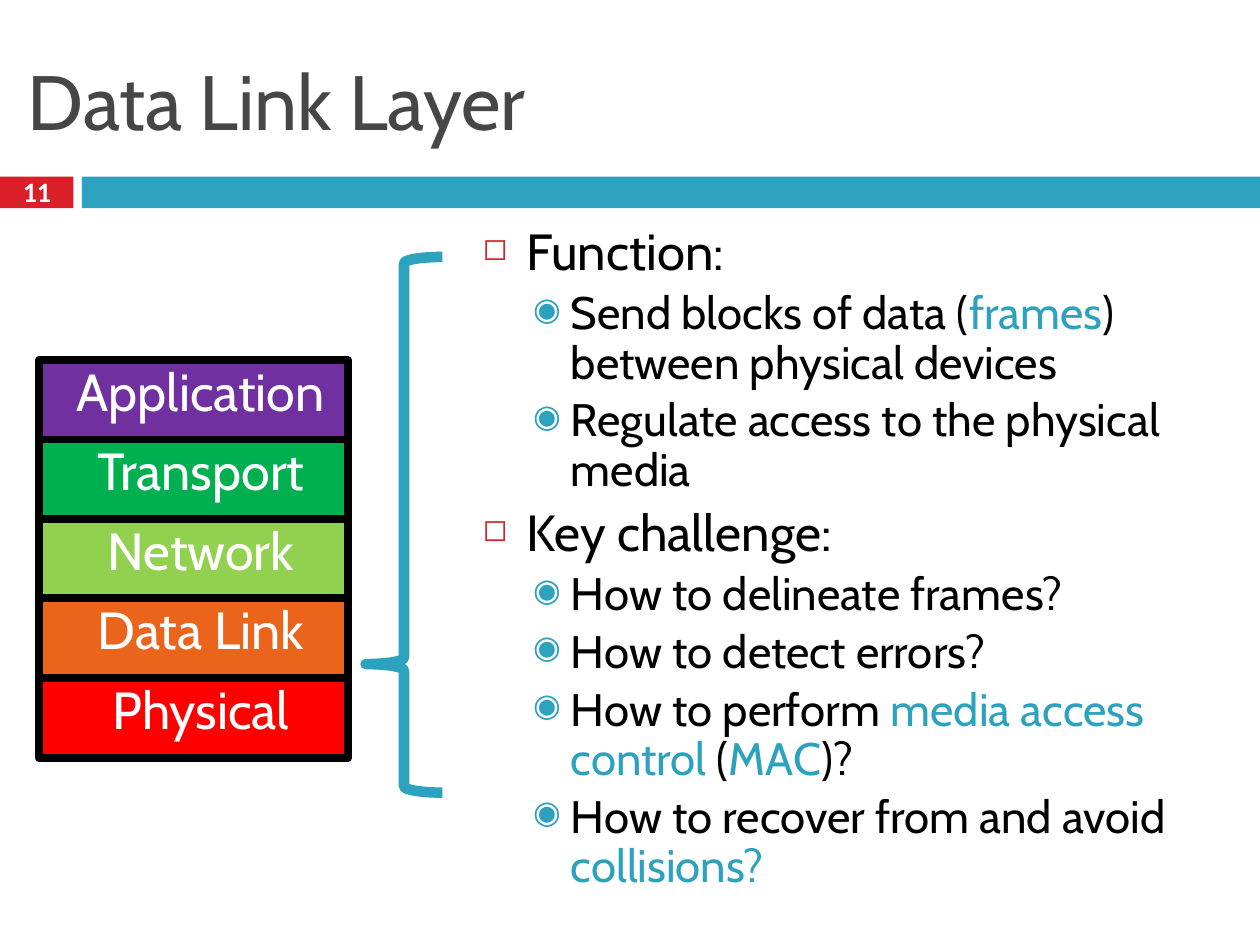
from lxml.etree import SubElement as Sub
from pptx import Presentation
from pptx.dml.color import RGBColor as RGB
from pptx.enum.shapes import MSO_SHAPE as Kind
from pptx.enum.text import MSO_ANCHOR as Anchor, MSO_AUTO_SIZE as Fit, PP_ALIGN as Align
from pptx.oxml.ns import qn
from pptx.util import Cm, Pt

theme = {
    "font": "Cabin", "num font": "Calibri",
    "title": 44, "point": 29, "sub": 26, "layer": 29.8, "num": 16,
    "gray": "464646", "red": "DA1F28", "teal": "2DA2BF",
    "black": "000000", "white": "FFFFFF",
}
layers = {
    "Application": "7030A0",
    "Transport": "00B050",
    "Network": "92D050",
    "Data Link": "EB641B",
    "Physical": "FF0000",
}
# Level, then runs that alternate between plain and accent colour
points = [
    (0, ["Function:"]),
    (1, ["Send blocks of data (", "frames", ") between physical devices"]),
    (1, ["Regulate access to the physical media"]),
    (0, ["Key challenge:"]),
    (1, ["How to delineate frames?"]),
    (1, ["How to detect errors?"]),
    (1, ["How to perform ", "media access control", " (", "MAC", ")?"]),
    (1, ["How to recover from and avoid ", "collisions?"]),
]
levels = [
    {"left": 0.89, "hang": -0.89, "char": "◻", "color": "red",
     "scale": 60, "size": "point", "before": 7},
    {"left": 1.78, "hang": -0.76, "char": "◉", "color": "teal",
     "scale": 70, "size": "sub", "before": 5},
]


def write(para, text, size, color, font="font", bold=False):
    """Add one formatted run to a paragraph."""
    run = para.add_run()
    run.text = text
    form = {"size": Pt(theme[size]), "name": theme[font], "bold": bold}
    for key, value in form.items():
        setattr(run.font, key, value)
    run.font.color.rgb = RGB.from_string(theme[color])


def setup(frame, anchor=Anchor.TOP, wrap=True):
    """Set margins, anchor and wrapping; return the first paragraph."""
    form = {"auto_size": Fit.NONE, "word_wrap": wrap, "vertical_anchor": anchor}
    form |= {f"margin_{side}": Cm(0.13) for side in ("left", "right", "top", "bottom")}
    for key, value in form.items():
        setattr(frame, key, value)
    return frame.paragraphs[0]


deck = Presentation()
deck.slide_width, deck.slide_height = Cm(25.4), Cm(19.05)
slide = deck.slides.add_slide(deck.slide_layouts[5])
shapes = slide.shapes

# Title
title = shapes.title
for key, value in {"left": 0.43, "top": 0.64, "width": 24.55, "height": 2.74}.items():
    setattr(title, key, Cm(value))
para = setup(title.text_frame, Anchor.MIDDLE)
para.alignment = Align.LEFT
write(para, "Data Link Layer", "title", "gray")

# Band with the slide number
for left, width, color in ((0, 1.48, "red"), (1.65, 23.75, "teal")):
    bar = shapes.add_shape(Kind.RECTANGLE, Cm(left), Cm(3.56), Cm(width), Cm(0.64))
    bar.shadow.inherit = False
    bar.fill.solid()
    bar.fill.fore_color.rgb = RGB.from_string(theme[color])
    bar.line.fill.background()
num = shapes.add_textbox(Cm(0.3), Cm(3.48), Cm(0.89), Cm(0.89))
para = setup(num.text_frame, Anchor.MIDDLE, wrap=False)
para.alignment, para.line_spacing = Align.CENTER, 0.8
write(para, "11", "num", "white", "num font", True)

# Bullet list
body = shapes.add_textbox(Cm(9.6), Cm(4.45), Cm(15.39), Cm(14.17))
first = setup(body.text_frame)
for i, (depth, parts) in enumerate(points):
    para = body.text_frame.add_paragraph() if i else first
    look = levels[depth]
    props = para._p.get_or_add_pPr()
    props.set("marL", str(Cm(look["left"])))
    props.set("indent", str(Cm(look["hang"])))
    tint = Sub(props, qn("a:buClr"))
    Sub(tint, qn("a:srgbClr"), val=theme[look["color"]])
    Sub(props, qn("a:buSzPct"), val=str(look["scale"] * 1000))
    Sub(props, qn("a:buChar"), char=look["char"])
    para.level, para.line_spacing = depth, 0.9
    para.space_before = Pt(look["before"] if i else 0)
    for j, part in enumerate(parts):
        write(para, part, look["size"], "teal" if j % 2 else "black")

# Layer stack
for i, (name, color) in enumerate(layers.items()):
    box = shapes.add_shape(Kind.RECTANGLE, Cm(0.79), Cm(7.26 + 1.6 * i), Cm(6.22), Cm(1.63))
    box.shadow.inherit = False
    box.fill.solid()
    box.fill.fore_color.rgb = RGB.from_string(color)
    box.line.color.rgb = RGB.from_string(theme["black"])
    box.line.width = Pt(4.5)
    para = setup(box.text_frame)
    para._p.get_or_add_pPr().set("indent", str(Cm(0.3)))
    para.alignment, para.line_spacing = Align.CENTER, 0.9
    write(para, name, "layer", "white")

# Brace from the data link layer to the list
brace = shapes.add_shape(Kind.LEFT_BRACE, Cm(7.37), Cm(5.18), Cm(1.55), Cm(10.8))
brace.shadow.inherit = False
brace.adjustments[1] = 0.76
brace.fill.background()
brace.line.color.rgb = RGB.from_string(theme["teal"])
brace.line.width = Pt(6)

deck.save("out.pptx")
